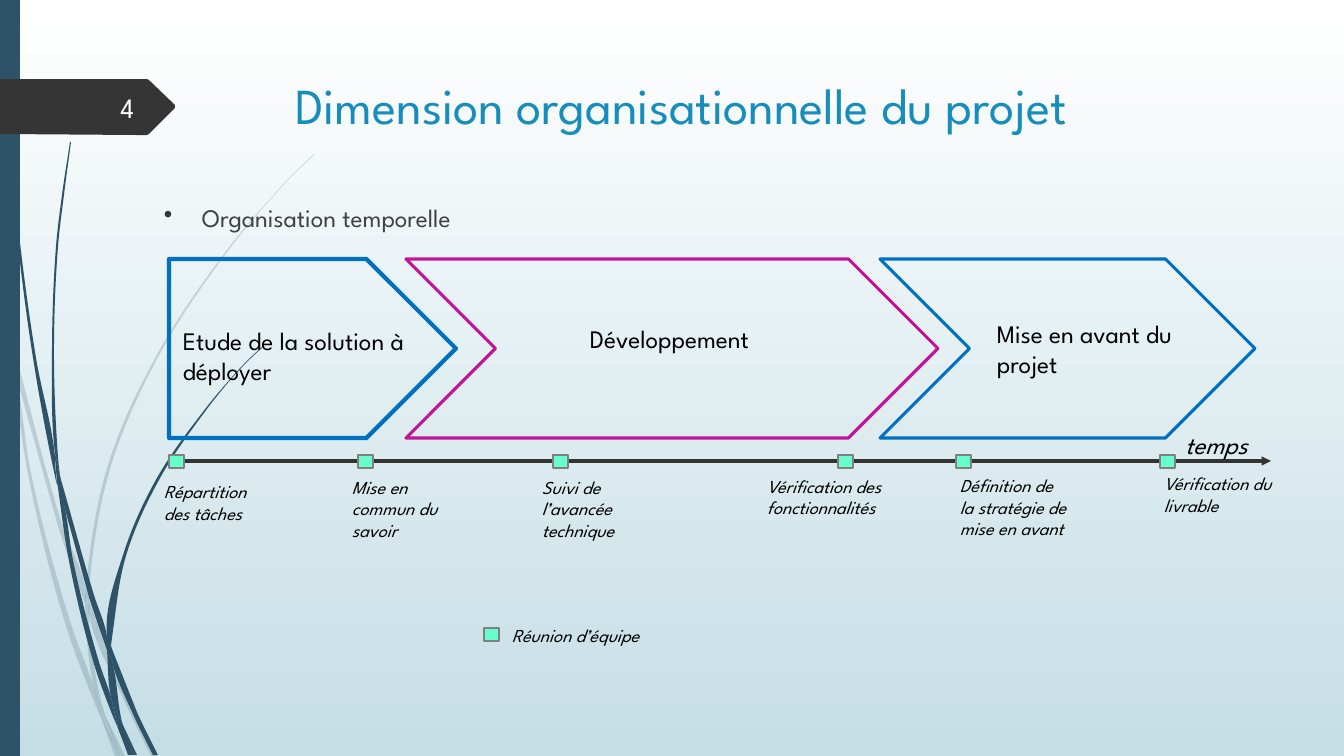
import math
import pptx
import pptx.util
import pptx.oxml
import pptx.oxml.ns
from pptx.dml.color import RGBColor
from pptx.enum.shapes import MSO_CONNECTOR, MSO_SHAPE
from pptx.enum.text import MSO_ANCHOR, MSO_AUTO_SIZE, PP_ALIGN

SCALE = 914400 / 100.8
FONT = "League Spartan"
WHITE, PALE = RGBColor(0xFF, 0xFF, 0xFF), RGBColor(0xC5, 0xDE, 0xE5)
NAVY, DARK = RGBColor(0x2E, 0x53, 0x69), RGBColor(0x35, 0x35, 0x35)
AXIS, TEAL = RGBColor(0x33, 0x33, 0x33), RGBColor(0x17, 0x8D, 0xBB)
BLUE, PINK = RGBColor(0x00, 0x70, 0xC0), RGBColor(0xBF, 0x16, 0x98)
MINT, GRAY = RGBColor(0x66, 0xFF, 0xCC), RGBColor(0x80, 0x80, 0x80)
BODY, BLACK = RGBColor(0x40, 0x40, 0x40), RGBColor(0x00, 0x00, 0x00)

TITLE = "Dimension organisationnelle du projet"
TOPIC = "Organisation temporelle"

# Phases: shape, left, width, colour, line width, label, label box
PHASES = [
    (MSO_SHAPE.PENTAGON, 169, 287, BLUE, 3,
     "Etude de la solution à déployer", (173, 320, 265, 72)),
    (MSO_SHAPE.CHEVRON, 406, 532, PINK, 2.25, "Développement", (580, 318, 232, 40)),
    (MSO_SHAPE.CHEVRON, 880, 375, BLUE, 2.25,
     "Mise en avant du projet", (987, 313, 220, 72)),
]
PHASE_TOP, PHASE_TALL = 259, 179

# Meetings: marker left, label, label box
MEETS = [
    (169, "Répartition des tâches", (154, 475, 128, 54)),
    (358, "Mise en commun du savoir", (342, 471, 128, 77)),
    (553, "Suivi de l’avancée technique", (532, 471, 128, 77)),
    (838, "Vérification des fonctionnalités", (757, 470, 156, 77)),
    (956, "Définition de la stratégie de mise en avant", (950, 469, 128, 120)),
    (1160, "Vérification du livrable", (1154, 467, 128, 54)),
]
MARK_TOP = 455

# Stems: knots around each blade
PALE_STEMS = [
    [(11, 353), (9, 325), (0, 284), (0, 301), (10, 347)],
    [(58, 526), (85, 604), (86, 591), (62, 524), (14, 348), (17, 379)],
    [(93, 612), (89, 601), (89, 615), (124, 700), (151, 756), (156, 756), (128, 698)],
    [(120, 756), (125, 756), (106, 717)],
    [(94, 688), (71, 624), (31, 473), (17, 379), (11, 353), (28, 474), (66, 626),
     (93, 699), (102, 720), (100, 713)],
    [(85, 604), (88, 651), (94, 688), (97, 698), (106, 717), (104, 712), (92, 651),
     (89, 615), (89, 613)],
    [(89, 589), (111, 466), (161, 352), (231, 247), (270, 200), (292, 176), (314, 155),
     (314, 154), (291, 176), (270, 199), (230, 246), (159, 351), (108, 465), (86, 589),
     (86, 591), (89, 601)],
    [(102, 720), (115, 756), (120, 756)],
    [(89, 613), (89, 615), (89, 601), (86, 591), (85, 604)],
    [(97, 698), (94, 688), (100, 713), (102, 720), (120, 756), (106, 717)],
]
DARK_STEMS = [
    [(7, 111), (17, 235), (33, 358), (56, 481), (57, 485), (55, 461), (55, 457),
     (36, 358), (19, 234), (8, 110), (5, 48), (4, 0), (3, 0), (4, 48)],
    [(89, 597), (107, 650), (107, 638), (107, 636), (94, 595), (60, 476), (65, 509)],
    [(114, 654), (111, 646), (112, 661), (133, 714), (153, 755), (158, 755), (137, 712)],
    [(111, 697), (99, 662), (73, 560), (65, 509), (57, 481), (69, 561), (94, 664),
     (112, 714), (118, 728), (117, 723)],
    [(60, 476), (58, 457), (54, 352), (58, 247), (64, 195), (71, 142), (70, 142),
     (62, 195), (56, 247), (52, 352), (55, 453)],
    [(134, 755), (137, 755), (123, 725)],
    [(57, 481), (65, 509), (60, 476), (55, 453), (55, 457)],
    [(112, 638), (126, 556), (159, 480), (207, 409), (233, 377), (247, 362), (263, 347),
     (262, 347), (247, 361), (233, 376), (206, 408), (157, 478), (123, 555), (107, 636),
     (111, 646)],
    [(118, 728), (128, 755), (132, 755)],
    [(107, 650), (111, 697), (117, 712), (123, 725), (122, 722), (112, 661), (110, 656)],
    [(107, 650), (110, 656), (112, 661), (111, 646), (107, 636), (107, 638)],
    [(117, 712), (111, 697), (117, 723), (118, 728), (131, 755), (134, 755), (123, 725)],
]
FLAG = [(175, 108), (149, 134), (147, 135), (137, 135), (0, 134), (0, 79), (137, 79),
        (147, 79), (149, 80), (175, 105)]


def px(n):
    """Turn pixels into EMU."""
    return pptx.util.Emu(round(n * SCALE))


def node(parent, tag, **attrs):
    """Append an XML element in the drawing namespace."""
    space = pptx.oxml.ns.nsdecls("a")
    item = pptx.oxml.parse_xml(f"<a:{tag} {space}/>")
    for key, val in attrs.items():
        item.set(key, val)
    parent.append(item)
    return item


def paint(shape, fill=None, line=None, wide=1.25):
    """Set fill and line, and drop the shadow."""
    shape.shadow.inherit = False
    if fill is None:
        shape.fill.background()
    else:
        shape.fill.solid()
        shape.fill.fore_color.rgb = fill
    if line is None:
        shape.line.fill.background()
    else:
        shape.line.color.rgb = line
        shape.line.width = pptx.util.Pt(wide)


def block(kind, box, **look):
    """Add a preset shape."""
    paint(slide.shapes.add_shape(kind, *map(px, box)), **look)


def mark(left, top):
    """Add a meeting marker."""
    block(MSO_SHAPE.RECTANGLE, (left, top, 15, 13), fill=MINT, line=GRAY)


def write(shape, text, size, color, slant):
    """Put formatted text in a shape."""
    frame = shape.text_frame
    frame.word_wrap = True
    frame.text = text
    font = frame.paragraphs[0].runs[0].font
    font.name, font.size, font.italic = FONT, pptx.util.Pt(size), slant
    font.color.rgb = color
    return frame


def label(text, box, size=18, color=BLACK, slant=None):
    """Add a text box."""
    return write(slide.shapes.add_textbox(*map(px, box)), text, size, color, slant)


def outline(knots, color):
    """Add a filled polygon."""
    spots = [(px(x), px(y)) for x, y in knots]
    pen = slide.shapes.build_freeform(*spots[0])
    pen.add_line_segments(spots[1:], close=True)
    shape = pen.convert_to_shape()
    paint(shape, fill=color)
    return shape


def slopes(knots):
    """Give the direction at each knot, or None at a corner."""
    out = []
    for a, b, c in zip(knots[-1:] + knots, knots, knots[1:] + knots[:1]):
        near = math.atan2(b[1] - a[1], b[0] - a[0])
        far = math.atan2(c[1] - b[1], c[0] - b[0])
        turn = math.remainder(far - near, math.tau)
        out.append(near + turn / 2 if abs(turn) < 0.6 else None)
    return out


def stem(knots, color):
    """Add a blade whose sides bend smoothly between corners."""
    shape, ways = outline(knots, color), slopes(knots)
    left, top = min(x for x, y in knots), min(y for x, y in knots)
    lines = list(shape.element.iter(pptx.oxml.ns.qn("a:lnTo")))
    for k, line in enumerate(lines[:len(knots)]):
        n = (k + 1) % len(knots)
        (ax, ay), (bx, by) = knots[k], knots[n]
        reach, chord = math.dist(knots[k], knots[n]) / 3, math.atan2(by - ay, bx - ax)
        go, come = (chord if way is None else way for way in (ways[k], ways[n]))
        curve = node(line.getparent(), "cubicBezTo")
        line.getparent().replace(line, curve)
        for x, y in ((ax + reach * math.cos(go), ay + reach * math.sin(go)),
                     (bx - reach * math.cos(come), by - reach * math.sin(come)), (bx, by)):
            node(curve, "pt", x=str(px(x - left)), y=str(px(y - top)))
    return shape


deck = pptx.Presentation()
deck.slide_width, deck.slide_height = px(1344), px(756)
slide = deck.slides.add_slide(deck.slide_layouts[5])
back = slide.background.fill
back.gradient()
back.gradient_angle = 270
for stop, color, spot in zip(back.gradient_stops, (WHITE, PALE), (0, 1)):
    stop.color.rgb, stop.position = color, spot

for knots in PALE_STEMS:
    tint = next(stem(knots, NAVY).element.spPr.iter(pptx.oxml.ns.qn("a:srgbClr")))
    node(tint, "alpha", val="20000")
for knots in DARK_STEMS:
    stem(knots, NAVY)
block(MSO_SHAPE.RECTANGLE, (0, 0, 20, 756), fill=NAVY)
outline(FLAG, DARK)

head = slide.shapes.title
head.left, head.top, head.width, head.height = map(px, (285, 69, 983, 141))
frame = write(head, TITLE, 36, TEAL, None)
frame.auto_size, frame.vertical_anchor = MSO_AUTO_SIZE.NONE, MSO_ANCHOR.TOP
frame.paragraphs[0].alignment = PP_ALIGN.LEFT
frame = label("4", (58, 87, 86, 40), 20, WHITE)
frame.vertical_anchor = MSO_ANCHOR.MIDDLE
frame.paragraphs[0].alignment = PP_ALIGN.RIGHT

props = label(TOPIC, (154, 197, 983, 59), color=BODY).paragraphs[0]._p.get_or_add_pPr()
props.set("marL", str(px(38)))
props.set("indent", str(px(-38)))
node(node(props, "buClr"), "srgbClr", val=str(DARK))
node(props, "buChar", char="•")

for kind, left, wide, color, thick, text, box in PHASES:
    block(kind, (left, PHASE_TOP, wide, PHASE_TALL), line=color, wide=thick)
    label(text, box)
axis = slide.shapes.add_connector(MSO_CONNECTOR.STRAIGHT, *map(px, (169, 461, 1271, 461)))
axis.line.color.rgb, axis.line.width = AXIS, pptx.util.Pt(2.25)
node(axis.element.spPr.find(pptx.oxml.ns.qn("a:ln")), "tailEnd", type="triangle")
node(axis.element.spPr, "effectLst")
label("temps", (1175, 424, 265, 40), slant=True)
for spot, text, box in MEETS:
    mark(spot, MARK_TOP)
    label(text, box, 13, slant=True)
mark(484, 628)
label("Réunion d’équipe", (502, 619, 224, 32), 13, slant=True)
deck.save("out.pptx")
